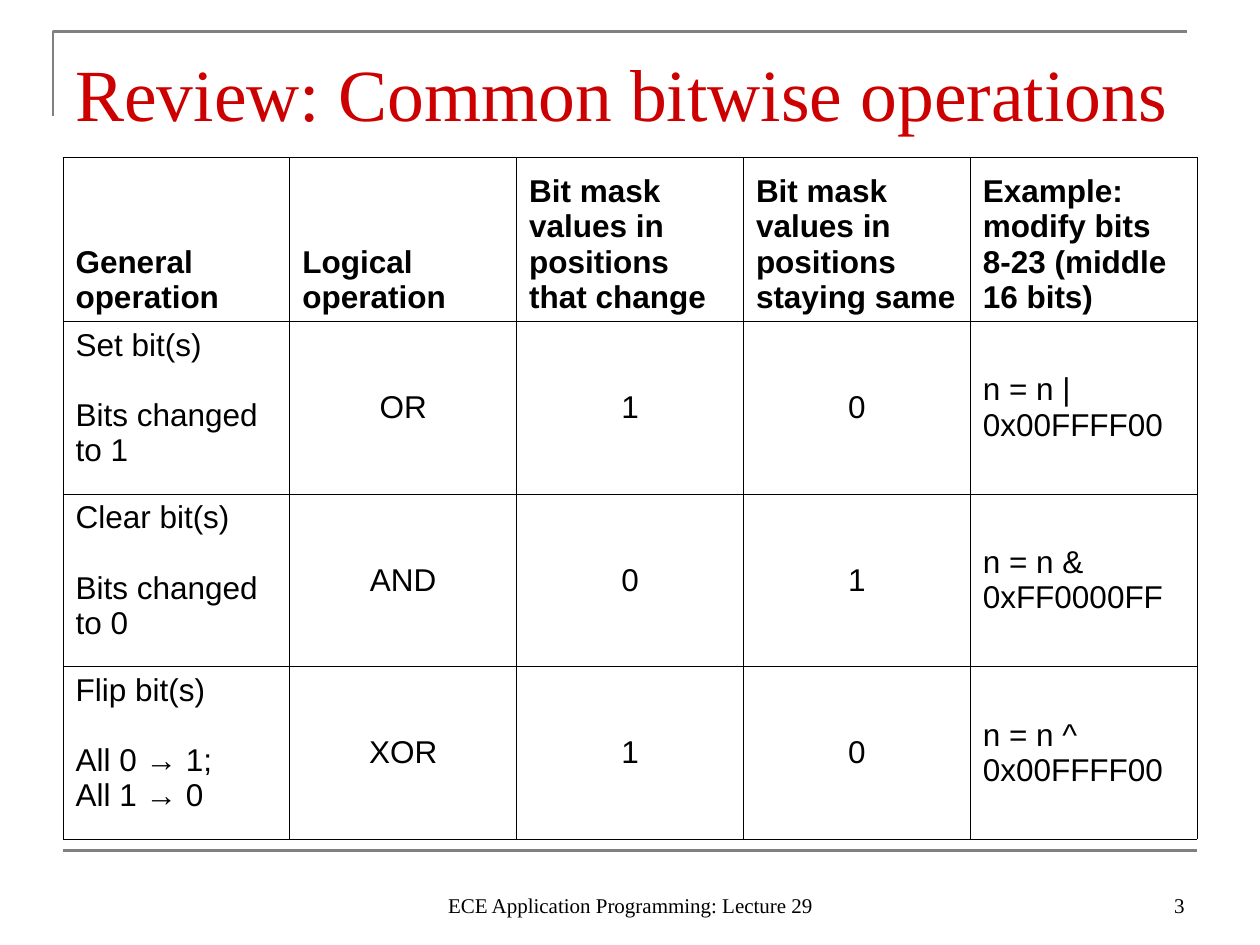
from dataclasses import dataclass

from lxml.etree import SubElement
from pptx import Presentation
from pptx.dml.color import RGBColor
from pptx.enum.shapes import MSO_CONNECTOR
from pptx.enum.text import MSO_ANCHOR, PP_ALIGN
from pptx.oxml.ns import qn
from pptx.util import Inches, Pt

COLORS = {"title": "CC0000", "rule": "808080", "text": "000000", "cell": "FFFFFF"}
HEADINGS = (
    "General operation",
    "Logical operation",
    "Bit mask values in positions that change",
    "Bit mask values in positions staying same",
    "Example: modify bits 8-23 (middle 16 bits)",
)
COLUMN_WIDTH = 1.8
HEADING_HEIGHT = 1.3
OPERATION_HEIGHT = 1.37


@dataclass(frozen=True)
class Operation:
    name: str
    effects: tuple[str, ...]
    logic: str
    change_mask: str
    keep_mask: str
    example: str


@dataclass(frozen=True)
class Label:
    text: str
    left: float
    top: float
    width: float
    height: float
    size: float
    align: PP_ALIGN
    color: str = "text"
    bottom_inset: float = 0.05


OPERATIONS = (
    Operation("Set bit(s)", ("Bits changed to 1",), "OR", "1", "0", "n = n | 0x00FFFF00"),
    Operation("Clear bit(s)", ("Bits changed to 0",), "AND", "0", "1", "n = n & 0xFF0000FF"),
    Operation("Flip bit(s)", ("All 0 → 1;", "All 1 → 0"), "XOR", "1", "0", "n = n ^ 0x00FFFF00"),
)
LABELS = (
    Label("Review: Common bitwise operations", 0.5, 0.3, 9, 0.78, 42, PP_ALIGN.LEFT, "title", 0),
    Label("ECE Application Programming: Lecture 29", 3.42, 6.83, 3.17, 0.5, 12, PP_ALIGN.CENTER),
    Label("3", 7.17, 6.83, 2.33, 0.5, 12, PP_ALIGN.RIGHT),
)


def rgb(name: str) -> RGBColor:
    return RGBColor.from_string(COLORS[name])


def format_font(font, face: str, size: float, color: str, bold: bool = False) -> None:
    font.name = face
    font.size = Pt(size)
    font.bold = bold
    font.color.rgb = rgb(color)


def style_rule(rule) -> None:
    rule.line.color.rgb = rgb("rule")
    rule.line.width = Pt(1.5)


def draw_rules(slide) -> None:
    builder = slide.shapes.build_freeform(Inches(0.42), Inches(0.92))
    builder.add_line_segments(
        [(Inches(0.42), Inches(0.25)), (Inches(9.42), Inches(0.25))], close=False
    )
    title_corner = builder.convert_to_shape()
    title_corner.fill.background()
    title_corner.shadow.inherit = False
    style_rule(title_corner)

    footer_rule = slide.shapes.add_connector(
        MSO_CONNECTOR.STRAIGHT, Inches(0.5), Inches(6.75), Inches(9.5), Inches(6.75)
    )
    style_rule(footer_rule)
    SubElement(footer_rule._element.spPr, qn("a:effectLst"))


def draw_label(slide, label: Label) -> None:
    box = slide.shapes.add_textbox(
        Inches(label.left), Inches(label.top), Inches(label.width), Inches(label.height)
    )
    frame = box.text_frame
    frame.word_wrap = True
    frame.vertical_anchor = MSO_ANCHOR.BOTTOM
    frame.margin_bottom = Inches(label.bottom_inset)
    frame.text = label.text
    paragraph = frame.paragraphs[0]
    paragraph.alignment = label.align
    format_font(paragraph.runs[0].font, "Times New Roman", label.size, label.color)


def add_borders(cell) -> None:
    properties = cell._tc.get_or_add_tcPr()
    for side in ("lnL", "lnR", "lnT", "lnB"):
        border = SubElement(properties, qn(f"a:{side}"), w=str(Pt(0.45)))
        fill = SubElement(border, qn("a:solidFill"))
        SubElement(fill, qn("a:srgbClr"), val=COLORS["text"])


def fill_cell(
    cell, text: str, anchor: MSO_ANCHOR, align: PP_ALIGN = PP_ALIGN.LEFT, bold: bool = False
) -> None:
    add_borders(cell)
    cell.fill.solid()
    cell.fill.fore_color.rgb = rgb("cell")
    cell.vertical_anchor = anchor
    cell.text_frame.text = text
    for paragraph in cell.text_frame.paragraphs:
        paragraph.alignment = align
        format_font(paragraph.runs[0].font, "Arial", 18, "text", bold)


def draw_operations(slide) -> None:
    table = slide.shapes.add_table(
        len(OPERATIONS) + 1,
        len(HEADINGS),
        Inches(0.5),
        Inches(1.25),
        Inches(COLUMN_WIDTH * len(HEADINGS)),
        Inches(HEADING_HEIGHT + OPERATION_HEIGHT * len(OPERATIONS)),
    ).table
    table.horz_banding = False
    table.rows[0].height = Inches(HEADING_HEIGHT)
    for column, heading in enumerate(HEADINGS):
        table.columns[column].width = Inches(COLUMN_WIDTH)
        fill_cell(table.cell(0, column), heading, MSO_ANCHOR.BOTTOM, bold=True)

    for row, operation in enumerate(OPERATIONS, start=1):
        table.rows[row].height = Inches(OPERATION_HEIGHT)
        summary = table.cell(row, 0)
        fill_cell(summary, "\n".join((operation.name, *operation.effects)), MSO_ANCHOR.TOP)
        summary.text_frame.paragraphs[1].space_before = Pt(20)
        values = (operation.logic, operation.change_mask, operation.keep_mask)
        for column, value in enumerate(values, start=1):
            fill_cell(table.cell(row, column), value, MSO_ANCHOR.MIDDLE, PP_ALIGN.CENTER)
        fill_cell(table.cell(row, 4), operation.example, MSO_ANCHOR.MIDDLE)


def main() -> None:
    presentation = Presentation()
    presentation.slide_width = Inches(10)
    presentation.slide_height = Inches(7.5)
    slide = presentation.slides.add_slide(presentation.slide_layouts[6])
    draw_rules(slide)
    title, *footers = LABELS
    draw_label(slide, title)
    draw_operations(slide)
    for footer in footers:
        draw_label(slide, footer)
    presentation.save("out.pptx")


if __name__ == "__main__":
    main()
